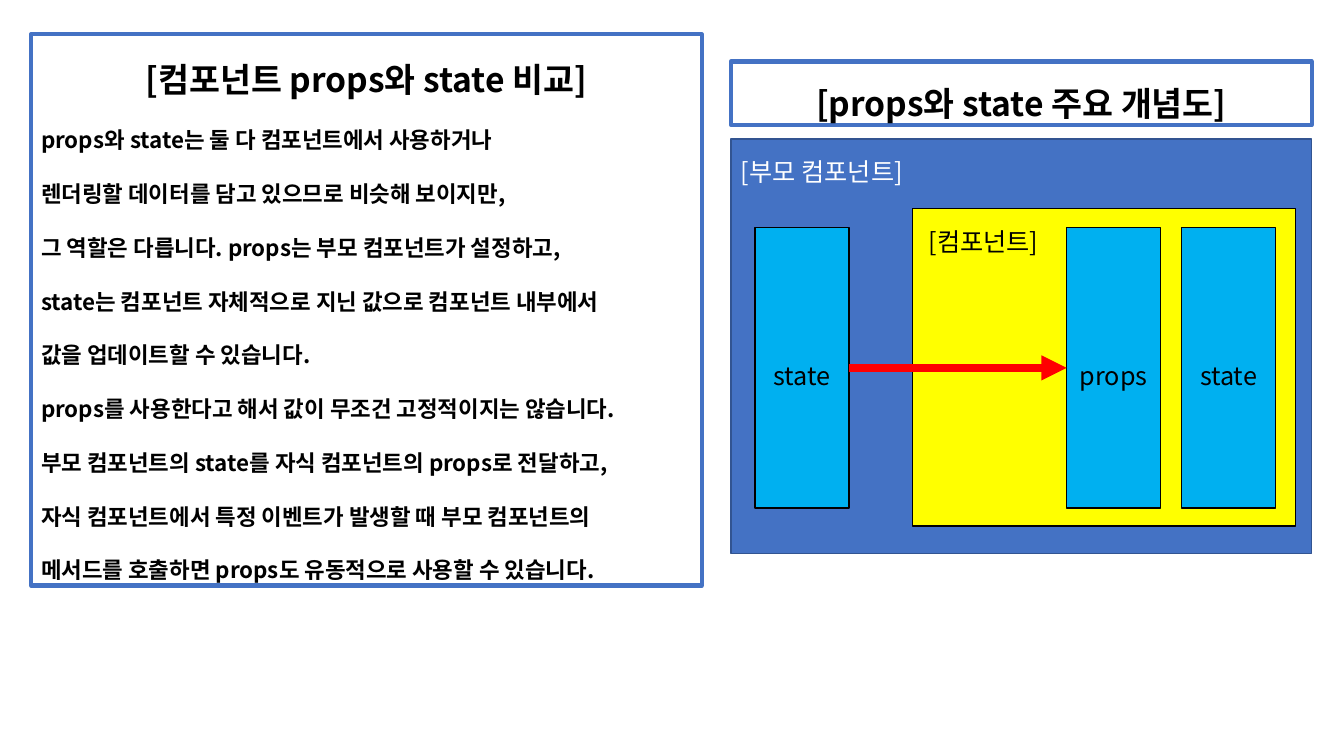
from lxml import etree
from pptx import Presentation
from pptx.dml.color import RGBColor
from pptx.enum.shapes import MSO_CONNECTOR, MSO_SHAPE
from pptx.enum.text import MSO_ANCHOR, PP_ALIGN
from pptx.oxml.ns import qn
from pptx.util import Inches, Pt

RECTANGLE = MSO_SHAPE.RECTANGLE
STRAIGHT = MSO_CONNECTOR.STRAIGHT
LEFT, CENTER = PP_ALIGN.LEFT, PP_ALIGN.CENTER
TOP, MIDDLE = MSO_ANCHOR.TOP, MSO_ANCHOR.MIDDLE

FONT = "Noto Sans CJK KR"
BLUE = RGBColor(0x44, 0x72, 0xC4)
DARK_BLUE = RGBColor(0x32, 0x54, 0x91)
SKY = RGBColor(0x00, 0xB0, 0xF0)
YELLOW = RGBColor(0xFF, 0xFF, 0x00)
RED = RGBColor(0xFF, 0x00, 0x00)
BLACK = RGBColor(0x00, 0x00, 0x00)
WHITE = RGBColor(0xFF, 0xFF, 0xFF)

# Content
COMPARISON_TITLE = "[컴포넌트 props와 state 비교]"
COMPARISON_LINES = [
    "props와 state는 둘 다 컴포넌트에서 사용하거나",
    "렌더링할 데이터를 담고 있으므로 비슷해 보이지만,",
    "그 역할은 다릅니다. props는 부모 컴포넌트가 설정하고,",
    "state는 컴포넌트 자체적으로 지닌 값으로 컴포넌트 내부에서",
    "값을 업데이트할 수 있습니다.",
    "props를 사용한다고 해서 값이 무조건 고정적이지는 않습니다.",
    "부모 컴포넌트의 state를 자식 컴포넌트의 props로 전달하고,",
    "자식 컴포넌트에서 특정 이벤트가 발생할 때 부모 컴포넌트의",
    "메서드를 호출하면 props도 유동적으로 사용할 수 있습니다.",
]
DIAGRAM_TITLE = "[props와 state 주요 개념도]"
PARENT_LABEL = "[부모 컴포넌트]"
CHILD_LABEL = "[컴포넌트]"
DATA_BOXES = [("state", 7.49), ("props", 10.58), ("state", 11.72)]

# Layout in inches
DIAGRAM_LEFT, DIAGRAM_WIDTH = 7.25, 5.76
DATA_TOP, DATA_WIDTH, DATA_HEIGHT = 2.26, 0.93, 2.78

deck = Presentation()
deck.slide_width, deck.slide_height = Inches(13.33), Inches(7.5)
page = deck.slides.add_slide(deck.slide_layouts[6])


def add_box(left, top, width, height, line, weight, fill=None, anchor=MIDDLE):
    box = page.shapes.add_shape(
        RECTANGLE, Inches(left), Inches(top), Inches(width), Inches(height))
    box.shadow.inherit = False
    if fill is None:
        box.fill.background()
    else:
        box.fill.solid()
        box.fill.fore_color.rgb = fill
    box.line.color.rgb = line
    box.line.width = Pt(weight)
    box.text_frame.word_wrap = True
    box.text_frame.vertical_anchor = anchor
    return box


def write(para, text, size, align=CENTER, color=BLACK, bold=False, spacing=1.5):
    para.text = text
    para.alignment = align
    para.line_spacing = spacing
    for span in para.runs:
        span.font.name = FONT
        span.font.size = Pt(size)
        span.font.bold = bold
        span.font.color.rgb = color
        east_asian = etree.SubElement(span.font._element, qn("a:ea"))
        east_asian.set("typeface", FONT)


def add_container(left, top, width, height, fill, line, label, color, inset):
    box = add_box(left, top, width, height, line, 1, fill, TOP)
    box.text_frame.margin_left = Inches(inset)
    box.text_frame.margin_top = Inches(0.02)
    write(box.text_frame.paragraphs[0], label, 18, LEFT, color)


# Comparison text
comparison = add_box(0.31, 0.34, 6.65, 5.47, BLUE, 3, anchor=TOP).text_frame
write(comparison.paragraphs[0], COMPARISON_TITLE, 24, bold=True)
for line_text in COMPARISON_LINES:
    write(comparison.add_paragraph(), line_text, 16, LEFT, bold=True, spacing=2.0)

# Diagram title
title = add_box(DIAGRAM_LEFT, 0.61, DIAGRAM_WIDTH, 0.63, BLUE, 3)
write(title.text_frame.paragraphs[0], DIAGRAM_TITLE, 24, bold=True)

# Parent and child components
add_container(DIAGRAM_LEFT, 1.38, DIAGRAM_WIDTH, 4.11,
              BLUE, DARK_BLUE, PARENT_LABEL, WHITE, 0.1)
add_container(9.05, 2.07, 3.8, 3.15, YELLOW, BLACK, CHILD_LABEL, BLACK, 0.16)

# State and props boxes
data_boxes = []
for name, left in DATA_BOXES:
    box = add_box(left, DATA_TOP, DATA_WIDTH, DATA_HEIGHT, BLACK, 1, SKY)
    write(box.text_frame.paragraphs[0], name, 18)
    data_boxes.append(box)

# Arrow from the parent state to the child props
parent_state, child_props = data_boxes[:2]
middle = Inches(DATA_TOP + DATA_HEIGHT / 2)
arrow = page.shapes.add_connector(
    STRAIGHT, parent_state.left + parent_state.width, middle,
    child_props.left, middle)
arrow.line.color.rgb = RED
arrow.line.width = Pt(6)
etree.SubElement(arrow.line._get_or_add_ln(), qn("a:tailEnd")).set("type", "triangle")
etree.SubElement(arrow._element.spPr, qn("a:effectLst"))

deck.save("out.pptx")
